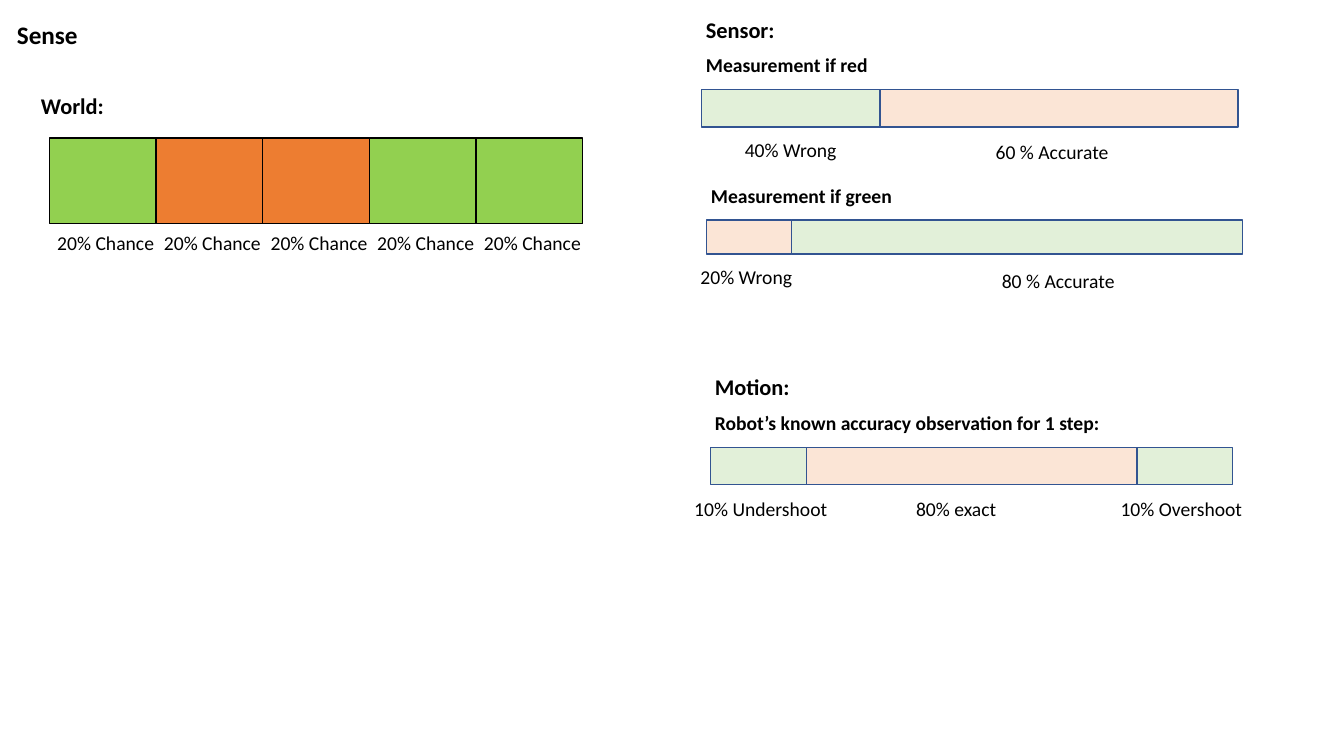
from dataclasses import dataclass

from pptx import Presentation
from pptx.dml.color import RGBColor
from pptx.enum import shapes, text
from pptx.util import Pt


@dataclass(frozen=True)
class Theme:
    """Colours, font and type sizes of the slide."""
    font: str = "Calibri"
    ink: str = "000000"
    outline: str = "325491"
    green: str = "92D050"
    orange: str = "ED7D31"
    pale_green: str = "E2F0D9"
    pale_orange: str = "FBE5D6"
    title: int = 18
    heading: int = 16
    body: int = 14


@dataclass(frozen=True)
class Box:
    """A rectangle in points."""
    left: float
    top: float
    width: float
    height: float

    def place(self, left, top, width, height):
        """Return a box whose corner is offset from this one's."""
        return Box(self.left + left, self.top + top, width, height)

    def lengths(self):
        """Return the four lengths for python-pptx."""
        return [Pt(value) for value in (self.left, self.top, self.width, self.height)]


@dataclass(frozen=True)
class Band:
    """One part of a probability bar and the label below it, offset from the bar."""
    fill: str
    left: float
    width: float
    label: str
    label_left: float
    label_top: float
    label_width: float


THEME = Theme()
LABEL_HEIGHT = 24.5
HEADING_HEIGHT = 26.6


def add_label(page, box, wording, size=THEME.body, bold=False):
    """Add one line of unwrapped text."""
    label = page.shapes.add_textbox(*box.lengths())
    frame = label.text_frame
    frame.text = wording
    frame.word_wrap = False
    frame.auto_size = text.MSO_AUTO_SIZE.SHAPE_TO_FIT_TEXT
    font = frame.paragraphs[0].runs[0].font
    font.name = THEME.font
    font.size = Pt(size)
    font.bold = bold
    font.color.rgb = RGBColor.from_string(THEME.ink)


def add_block(page, box, fill, line):
    """Add a filled and outlined rectangle."""
    block = page.shapes.add_shape(shapes.MSO_SHAPE.RECTANGLE, *box.lengths())
    block.shadow.inherit = False
    block.fill.solid()
    block.fill.fore_color.rgb = RGBColor.from_string(fill)
    block.line.color.rgb = RGBColor.from_string(line)
    block.line.width = Pt(1)


def add_world(page, box, fills):
    """Draw the world as equal cells with their chances."""
    add_label(page, box.place(-13, -36, 59.8, HEADING_HEIGHT), "World:", THEME.heading, True)
    step = box.width / len(fills)
    for index, fill in enumerate(fills):
        add_block(page, box.place(index * step, 0, step, box.height), fill, THEME.ink)
        add_label(page, box.place(index * step - 1.4, box.height + 1.4, 84.2, LABEL_HEIGHT),
                  "20% Chance")


def add_bar(page, box, caption, caption_width, bands, heading=None):
    """Draw a captioned probability bar, with a region heading if one is given."""
    if heading:
        add_label(page, box.place(-4, -56.4, 70, HEADING_HEIGHT), heading, THEME.heading, True)
    add_label(page, box.place(-4, -29.6, caption_width, LABEL_HEIGHT), caption, bold=True)
    for band in bands:
        add_block(page, box.place(band.left, 0, band.width, box.height), band.fill, THEME.outline)
        add_label(page, box.place(band.label_left, band.label_top, band.label_width, LABEL_HEIGHT),
                  band.label)


def add_sensor(page, box):
    """Draw the sensor's accuracy for both colours."""
    add_bar(page, box.place(0, 0, box.width, 26.6), "Measurement if red", 131, [
        Band(THEME.pale_orange, 127.5, 255.6, "60 % Accurate", 203, 32.4, 95.8),
        Band(THEME.pale_green, 0, 127.5, "40% Wrong", 23.8, 31, 80.6),
    ], "Sensor:")
    add_bar(page, box.place(3.6, 93, box.width, 24.5), "Measurement if green", 144.7, [
        Band(THEME.pale_green, 60.8, 322, "80 % Accurate", 203.8, 31.7, 95.8),
        Band(THEME.pale_orange, 0, 60.8, "20% Wrong", -11.5, 28.8, 80.6),
    ])


def add_motion(page, box):
    """Draw the accuracy of one motion step."""
    add_bar(page, box, "Robot’s known accuracy observation for 1 step:", 298, [
        Band(THEME.pale_orange, 66.4, 238.2, "80% exact", 139.7, 31.7, 72.7),
        Band(THEME.pale_green, 0, 68.5, "10% Undershoot", -18.7, 31.7, 110.9),
        Band(THEME.pale_green, 304.6, 68.5, "10% Overshoot", 285.8, 31.7, 102.2),
    ], "Motion:")


def main():
    """Build and save the slide."""
    deck = Presentation()
    deck.slide_width, deck.slide_height = Pt(960), Pt(540)
    page = deck.slides.add_slide(deck.slide_layouts[6])
    add_label(page, Box(5, 10.1, 58.3, 29), "Sense", THEME.title, True)
    add_world(page, Box(35.2, 98.6, 381, 61.2),
              [THEME.green, THEME.orange, THEME.orange, THEME.green, THEME.green])
    add_sensor(page, Box(501.1, 64.1, 383, 118))
    add_motion(page, Box(507.5, 319.5, 373, 26.6))
    deck.save("out.pptx")


if __name__ == "__main__":
    main()
